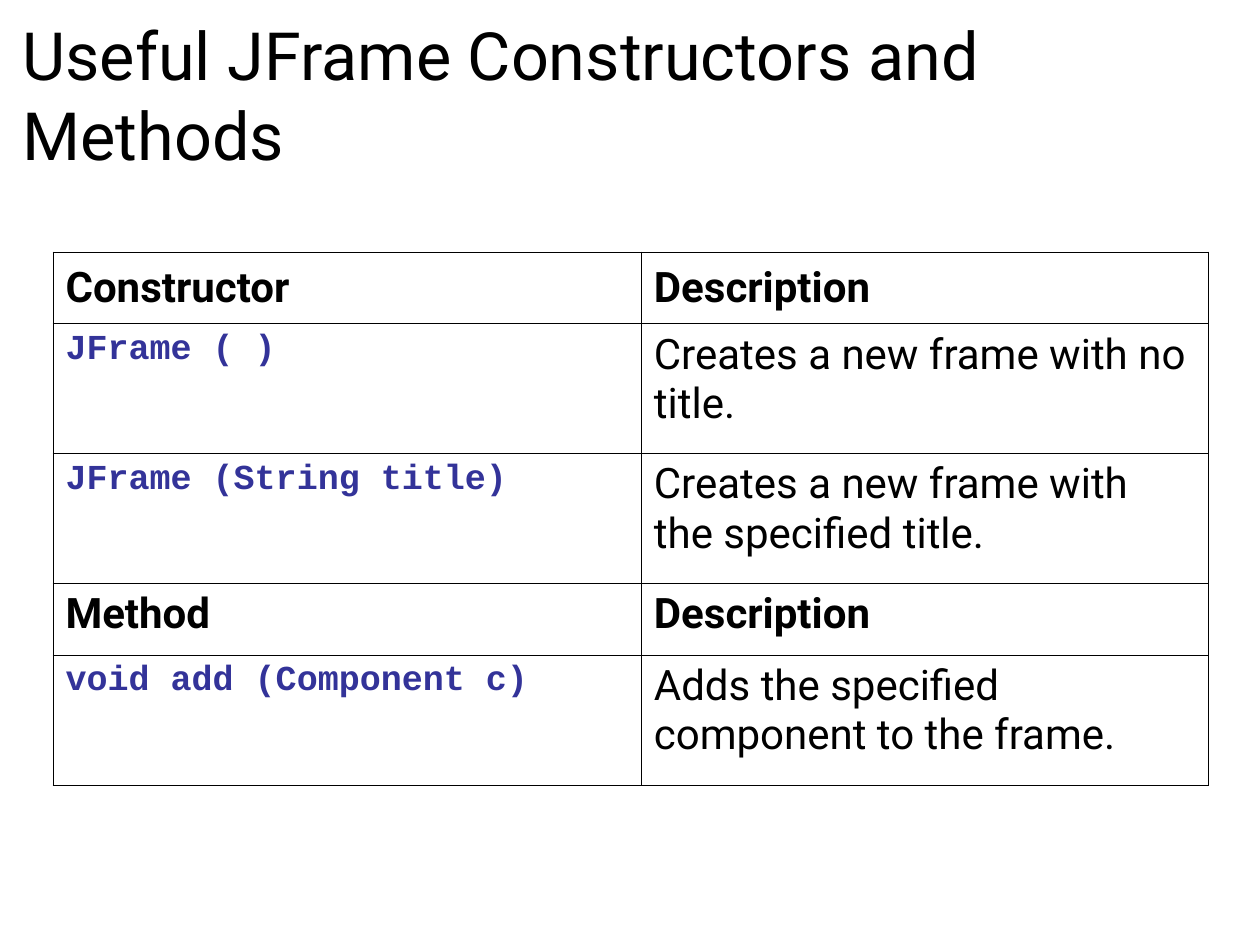
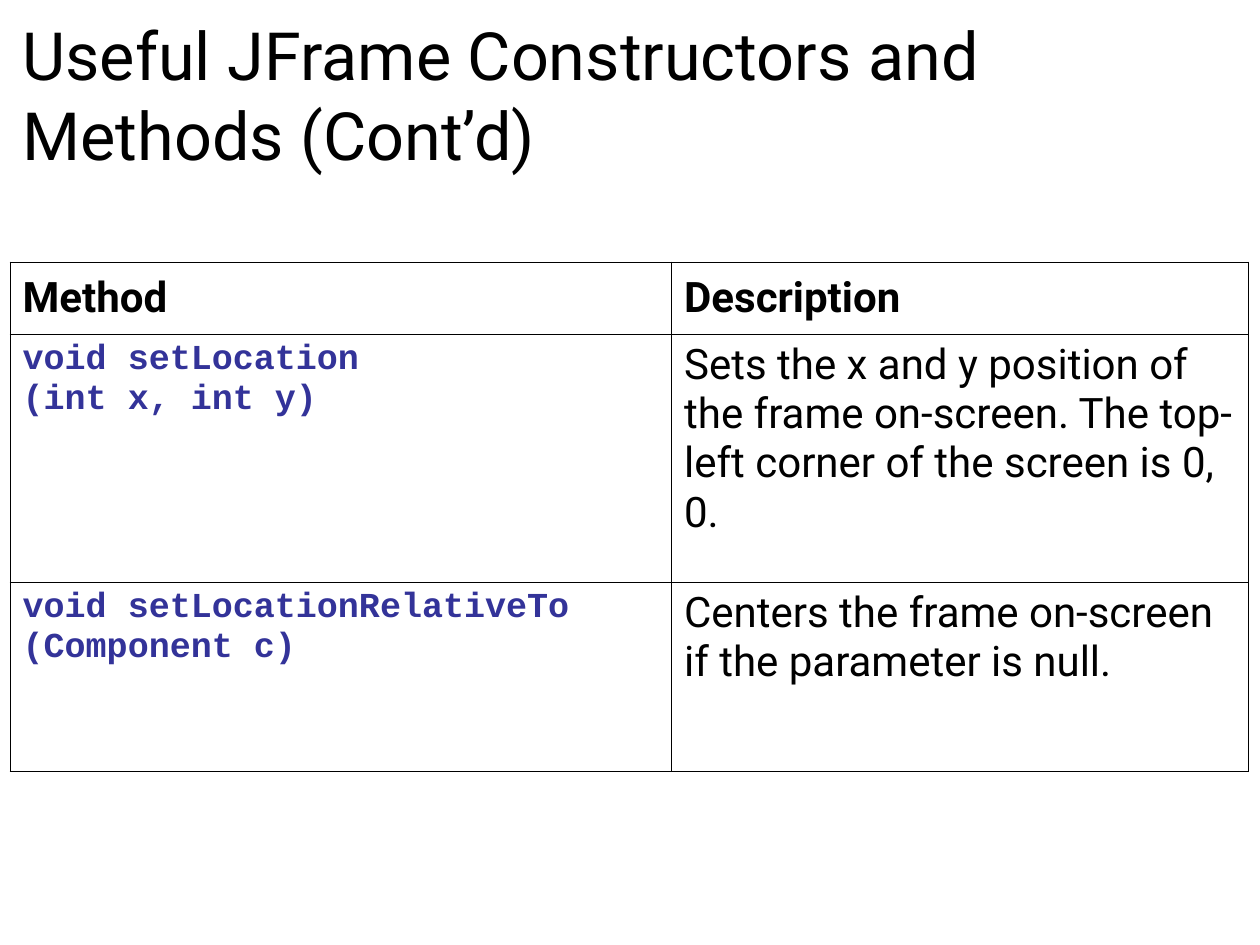
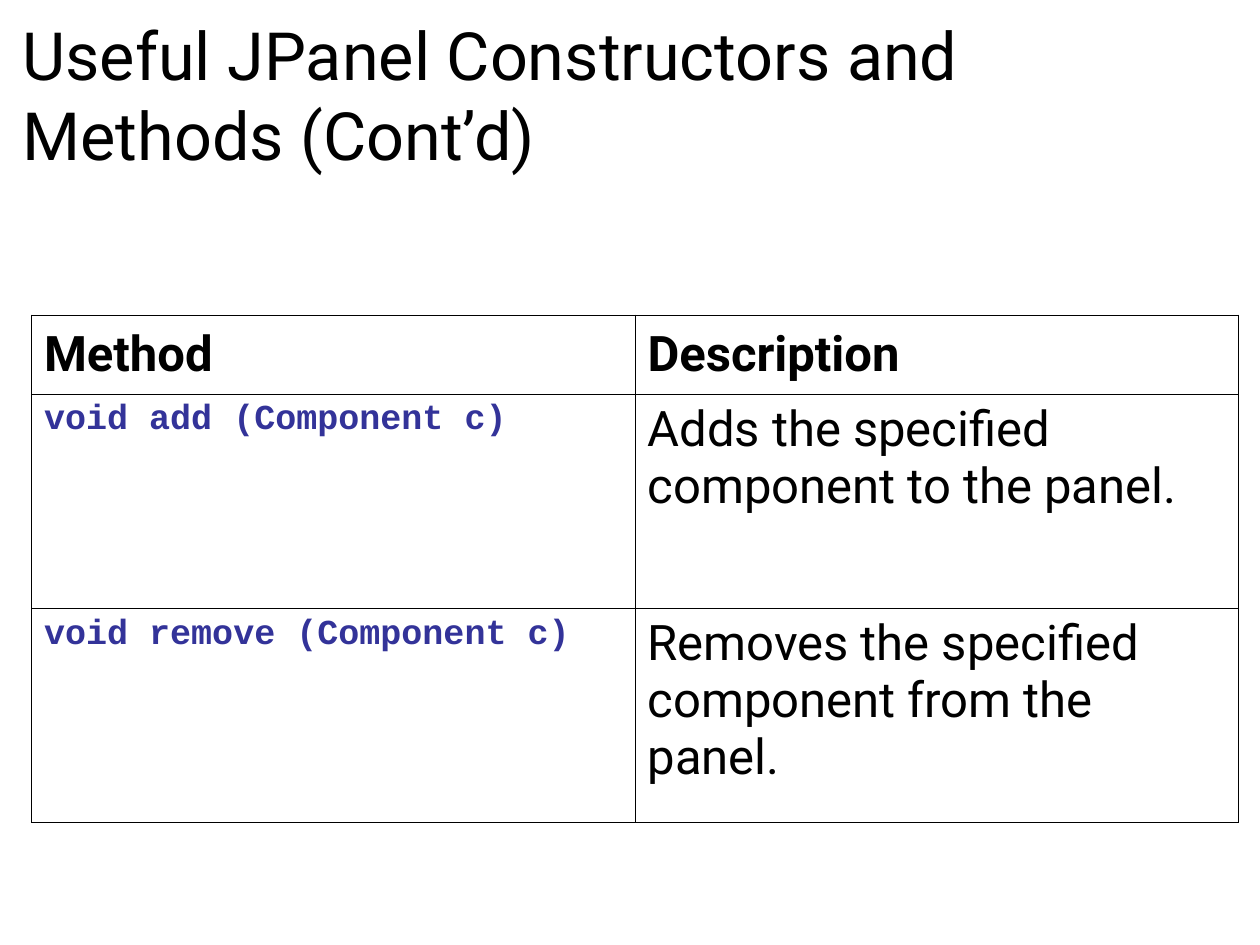
from lxml.etree import SubElement
from pptx import Presentation
from pptx.dml.color import RGBColor
from pptx.enum.text import MSO_ANCHOR
from pptx.oxml.ns import qn
from pptx.util import Inches, Pt

COLORS = {"text": "000000", "code": "333399", "border": "000000"}
BODY_FONT, CODE_FONT = "Roboto", "Courier New"
TITLE_BOX = (0.08, 0.06, 8.25, 1.57)
TITLE_SIZE, CODE_SIZE = 38, 20
BORDER_WIDTH = Pt(0.45)

# Each row: kind, height, left text, right text; "head" rows are bold headings.
SLIDES = [
    {
        "title": "Useful JFrame Constructors and Methods",
        "corner": (0.42, 2),
        "columns": (4.67, 4.5),
        "size": 24,
        "rows": [
            ("head", 0.57, "Constructor", "Description"),
            ("entry", 1.03, "JFrame ( )", "Creates a new frame with no title."),
            ("entry", 1.03, "JFrame (String title)",
             "Creates a new frame with the specified title."),
            ("head", 0.57, "Method", "Description"),
            ("entry", 1.03, "void add (Component c)",
             "Adds the specified component to the frame."),
        ],
    },
    {
        "title": "Useful JFrame Constructors and Methods (Cont’d)",
        "corner": (0.08, 2.08),
        "columns": (5.25, 4.58),
        "size": 24,
        "rows": [
            ("head", 0.57, "Method", "Description"),
            ("entry", 1.97, "void setLocation\n(int x, int y)",
             "Sets the x and y position of the frame on-screen. "
             "The top-left corner of the screen is 0, 0."),
            ("entry", 1.5, "void setLocationRelativeTo\n(Component c)",
             "Centers the frame on-screen if the parameter is null."),
        ],
    },
    {
        "title": "Useful JPanel Constructors and Methods (Cont’d)",
        "corner": (0.25, 2.5),
        "columns": (4.79, 4.79),
        "size": 28,
        "rows": [
            ("head", 0.63, "Method", "Description"),
            ("entry", 1.7, "void add (Component c)",
             "Adds the specified component to the panel."),
            ("entry", 1.7, "void remove (Component c)",
             "Removes the specified component from the panel."),
        ],
    },
]


def write_text(frame, text, size, font=BODY_FONT, color="text", bold=False):
    """Fill a text frame with one paragraph per line of text."""
    for index, line in enumerate(text.split("\n")):
        para = frame.add_paragraph() if index else frame.paragraphs[0]
        span = para.add_run()
        span.text = line
        span.font.size = Pt(size)
        span.font.name = font
        span.font.bold = bold
        span.font.color.rgb = RGBColor.from_string(COLORS[color])


def add_title(page, text, box):
    frame = page.shapes.add_textbox(*map(Inches, box)).text_frame
    frame.word_wrap = True
    write_text(frame, text, TITLE_SIZE)


def style_cell(cell):
    """Give a cell a thin border on all sides and no fill."""
    properties = cell._tc.get_or_add_tcPr()
    for side in ("lnL", "lnR", "lnT", "lnB"):
        line = SubElement(properties, qn(f"a:{side}"), w=str(BORDER_WIDTH))
        fill = SubElement(line, qn("a:solidFill"))
        SubElement(fill, qn("a:srgbClr"), val=COLORS["border"])
    cell.fill.background()


def add_reference_table(page, corner, columns, rows, size):
    box = (*corner, sum(columns), sum(row[1] for row in rows))
    table = page.shapes.add_table(len(rows), len(columns), *map(Inches, box)).table
    table.first_row = table.horz_banding = False
    for column, width in zip(table.columns, columns):
        column.width = Inches(width)
    for row, (kind, height, left, right) in zip(table.rows, rows):
        row.height = Inches(height)
        name, description = row.cells
        for cell in (name, description):
            style_cell(cell)
        is_head = kind == "head"
        if is_head:
            write_text(name.text_frame, left, size, bold=True)
        else:
            write_text(name.text_frame, left, CODE_SIZE, CODE_FONT, "code", bold=True)
        write_text(description.text_frame, right, size, bold=is_head)
    for cell in table.rows[0].cells:
        cell.vertical_anchor = MSO_ANCHOR.MIDDLE


def main():
    deck = Presentation()
    deck.slide_width, deck.slide_height = Inches(10), Inches(7.5)
    for content in SLIDES:
        page = deck.slides.add_slide(deck.slide_layouts[6])
        add_title(page, content["title"], TITLE_BOX)
        add_reference_table(page, content["corner"], content["columns"],
                            content["rows"], content["size"])
    deck.save("out.pptx")


if __name__ == "__main__":
    main()
